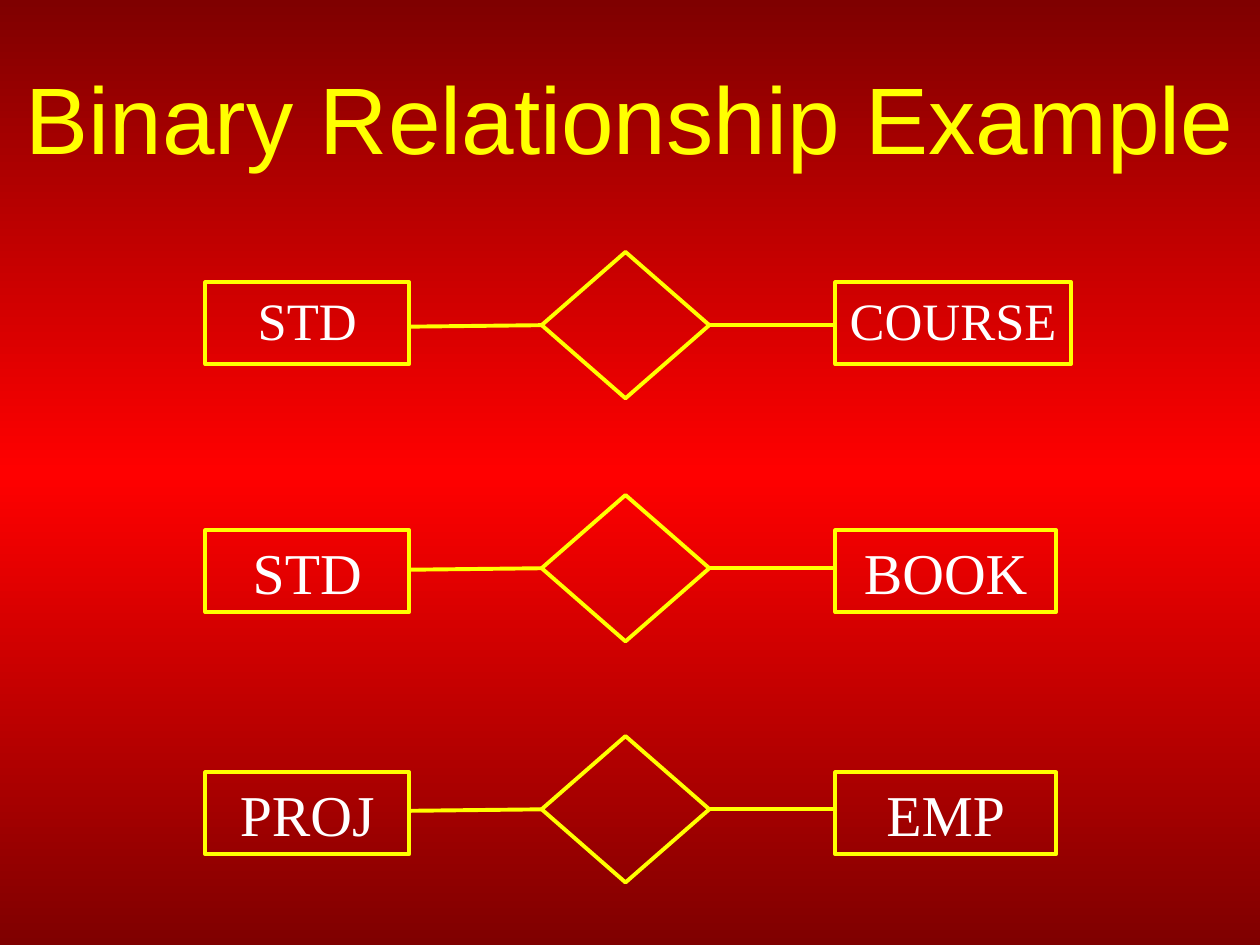
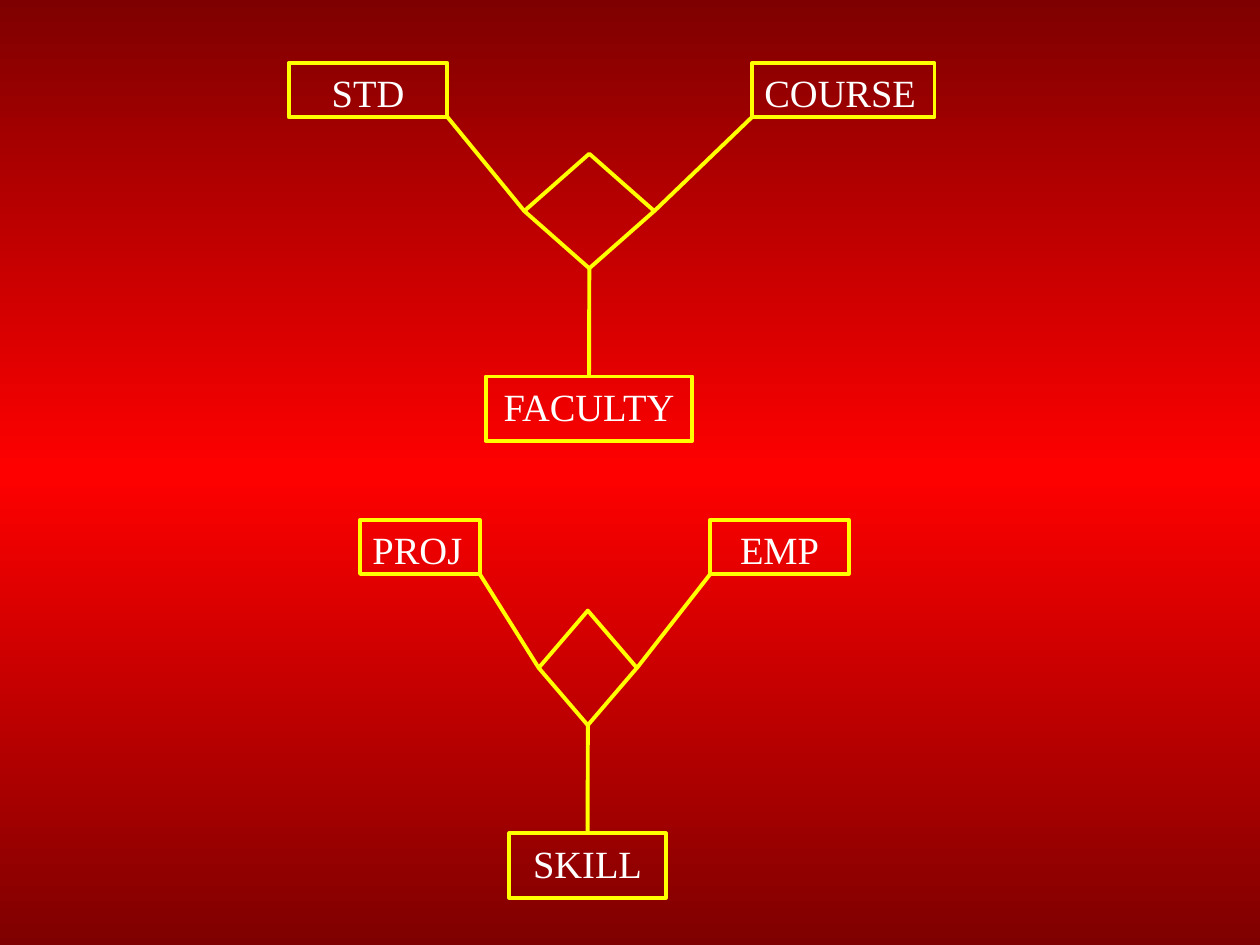
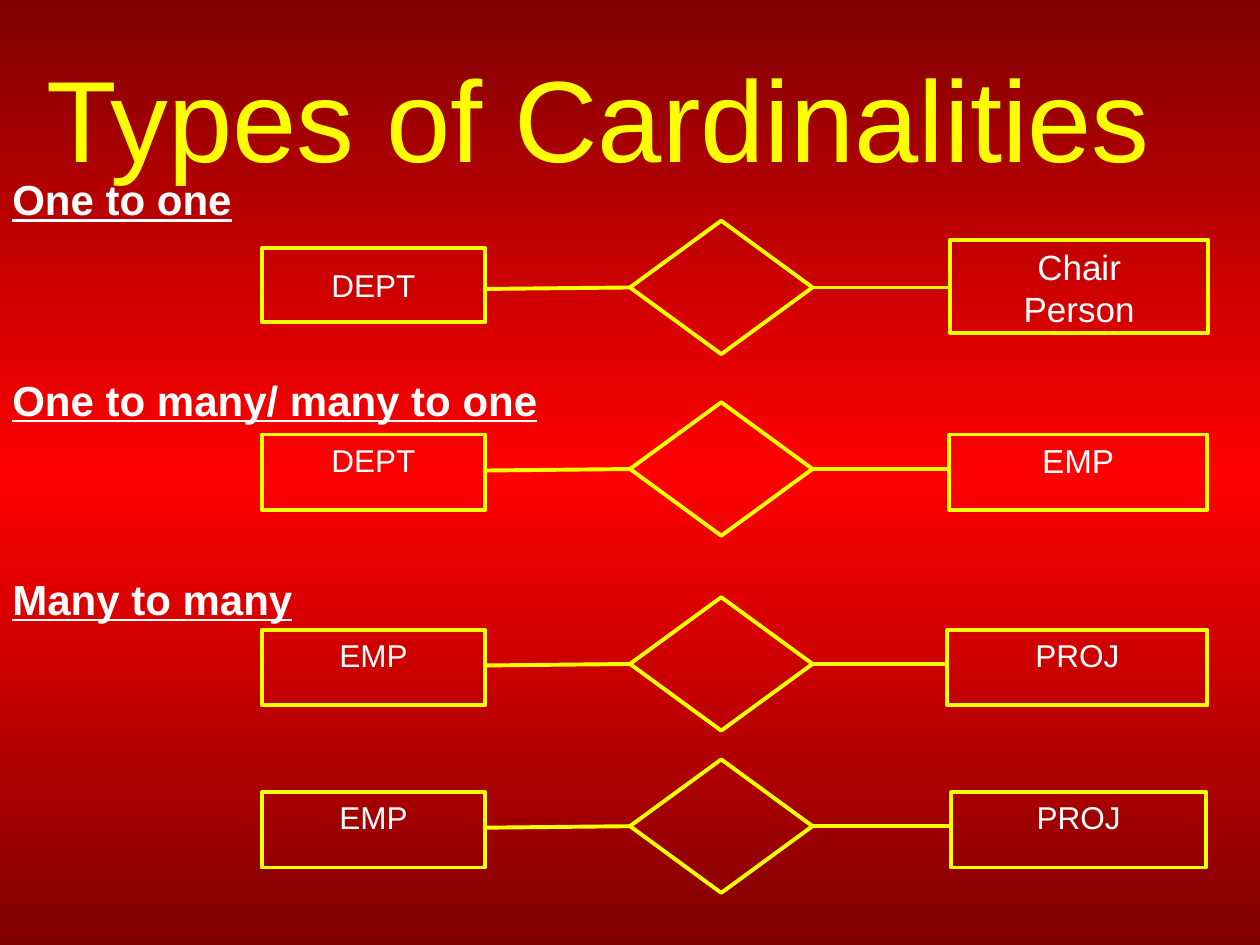
from copy import deepcopy

from lxml import etree
from pptx import Presentation
from pptx.dml.color import RGBColor
from pptx.enum.shapes import MSO_CONNECTOR as CXN, MSO_SHAPE as SHP
from pptx.enum.text import MSO_ANCHOR as ANC, PP_ALIGN as AL
from pptx.oxml.ns import qn
from pptx.util import Cm, Pt

DARK_RED = RGBColor(0x7F, 0x00, 0x00)
RED = RGBColor(0xFF, 0x00, 0x00)
YELLOW = RGBColor(0xFF, 0xFF, 0x00)
WHITE = RGBColor(0xFF, 0xFF, 0xFF)
SANS = "Arial"
SERIF = "Times New Roman"
LINE_W = Pt(2.25)
TOP, LEFT, BOTTOM, RIGHT = range(4)


def add(s, kind, x, y, w, h, text="", size=18, font=SANS, color=WHITE,
        align=AL.CENTER, anchor=ANC.TOP, heading=False):
    box = Cm(x), Cm(y), Cm(w), Cm(h)
    if kind is None:
        sp = s.shapes.add_textbox(*box)
    else:
        sp = s.shapes.add_shape(kind, *box)
        sp.shadow.inherit = False
        sp.fill.background()
        sp.line.color.rgb = YELLOW
        sp.line.width = LINE_W
    if text:
        tf = sp.text_frame
        tf.word_wrap = True
        tf.vertical_anchor = anchor
        tf.text = text
        for p in tf.paragraphs:
            p.alignment = align
            for r in p.runs:
                r.font.size = Pt(size)
                r.font.name = font
                r.font.color.rgb = color
                r.font.bold = heading
                r.font.underline = heading
    return sp


def link(s, diamond, site, x, y):
    cx = s.shapes.add_connector(CXN.STRAIGHT, 0, 0, Cm(x), Cm(y))
    cx.begin_connect(diamond, site)
    cx.line.color.rgb = YELLOW
    cx.line.width = LINE_W
    etree.SubElement(cx._element.spPr, qn("a:effectLst"))
    return cx


prs = Presentation()
prs.slide_width, prs.slide_height = Cm(25.4), Cm(19.05)

fill = prs.slide_master.background.fill
fill.gradient()
fill.gradient_angle = 270
gs_list = next(prs.slide_master._element.iter(qn("a:gsLst")))
gs_list.append(deepcopy(gs_list[0]))
for stop, pos, color in zip(fill.gradient_stops, (0, 0.5, 1), (DARK_RED, RED, DARK_RED)):
    stop.position = pos
    stop.color.rgb = color

binary, ternary, cardinality = [prs.slides.add_slide(prs.slide_layouts[6]) for _ in range(3)]

binary_rows = [
    (5.08, (5.69, 1.65, "STD", 30), (16.84, 5.69, 4.75, 1.65, "COURSE", 30), ANC.TOP),
    (9.98, (10.69, 1.65, "STD", 33), (16.84, 10.69, 4.45, 1.65, "BOOK", 33), ANC.TOP),
    (14.84, (15.57, 1.65, "PROJ", 33), (16.84, 15.57, 4.45, 1.65, "EMP", 33), ANC.TOP),
]
cardinality_rows = [
    (4.45, (5, 1.5, "DEPT", 18), (19.15, 4.83, 5.21, 1.88, "Chair\nPerson", 20), ANC.MIDDLE),
    (8.11, (8.76, 1.52, "DEPT", 18), (19.13, 8.76, 5.21, 1.52, "EMP", 19), ANC.TOP),
    (12.04, (12.7, 1.52, "EMP", 18), (19.1, 12.7, 5.24, 1.52, "PROJ", 18), ANC.TOP),
    (15.31, (15.97, 1.52, "EMP", 18), (19.18, 15.97, 5.13, 1.52, "PROJ", 18), ANC.TOP),
]
row_slides = [
    (binary, "Binary Relationship Example", 54, 25.4, SERIF,
     (10.92, 3.38, 2.95), (4.14, 4.11), binary_rows),
    (cardinality, "Types of Cardinalities", 66, 24.13, SANS,
     (12.7, 3.68, 2.69), (5.28, 4.5), cardinality_rows),
]
for s, title, size, title_w, font, (dx, dw, dh), (lx, lw), rows in row_slides:
    add(s, None, 0, 0.76, title_w, 3.18, title, size, color=YELLOW, anchor=ANC.MIDDLE)
    for dy, (ly, lh, name, name_size), right, anchor in rows:
        mid = dy + dh / 2
        diamond = add(s, SHP.DIAMOND, dx, dy, dw, dh)
        add(s, SHP.RECTANGLE, lx, ly, lw, lh, name, name_size, font, anchor=anchor)
        add(s, SHP.RECTANGLE, *right, font)
        link(s, diamond, LEFT, lx + lw, mid + 0.03)
        link(s, diamond, RIGHT, right[0], mid)

for y, w, heading in [(3.38, 6.35, "One to one"),
                      (7.42, 13.13, "One to many/ many to one"),
                      (11.43, 6.35, "Many to many")]:
    add(cardinality, None, 0, y, w, 1.27, heading, 24, align=AL.LEFT, heading=True)

triples = [
    (1.27, (10.57, 2.62), (5.82, 3.2, "STD", AL.CENTER),
     (15.16, 3.68, "COURSE", AL.LEFT), (9.79, 4.17, "FACULTY")),
    (10.48, (10.86, 1.98), (7.26, 2.41, "PROJ", AL.LEFT),
     (14.32, 2.79, "EMP", AL.CENTER), (10.27, 3.15, "SKILL")),
]
for y, (dx, dw), (lx, lw, left, left_al), (rx, rw, right, right_al), (bx, bw, base) in triples:
    bottom = y + 1.09
    diamond = add(ternary, SHP.DIAMOND, dx, y + 1.83, dw, 2.31)
    add(ternary, SHP.RECTANGLE, lx, y, lw, 1.09, left, 22, SERIF, align=left_al)
    add(ternary, SHP.RECTANGLE, rx, y, rw, 1.09, right, 22, SERIF, align=right_al)
    base_box = add(ternary, SHP.RECTANGLE, bx, y + 6.32, bw, 1.3, base, 22, SERIF)
    link(ternary, diamond, LEFT, lx + lw, bottom)
    link(ternary, diamond, RIGHT, rx, bottom)
    link(ternary, diamond, BOTTOM, bx + bw / 2, y + 6.32).end_connect(base_box, TOP)

prs.save("out.pptx")
